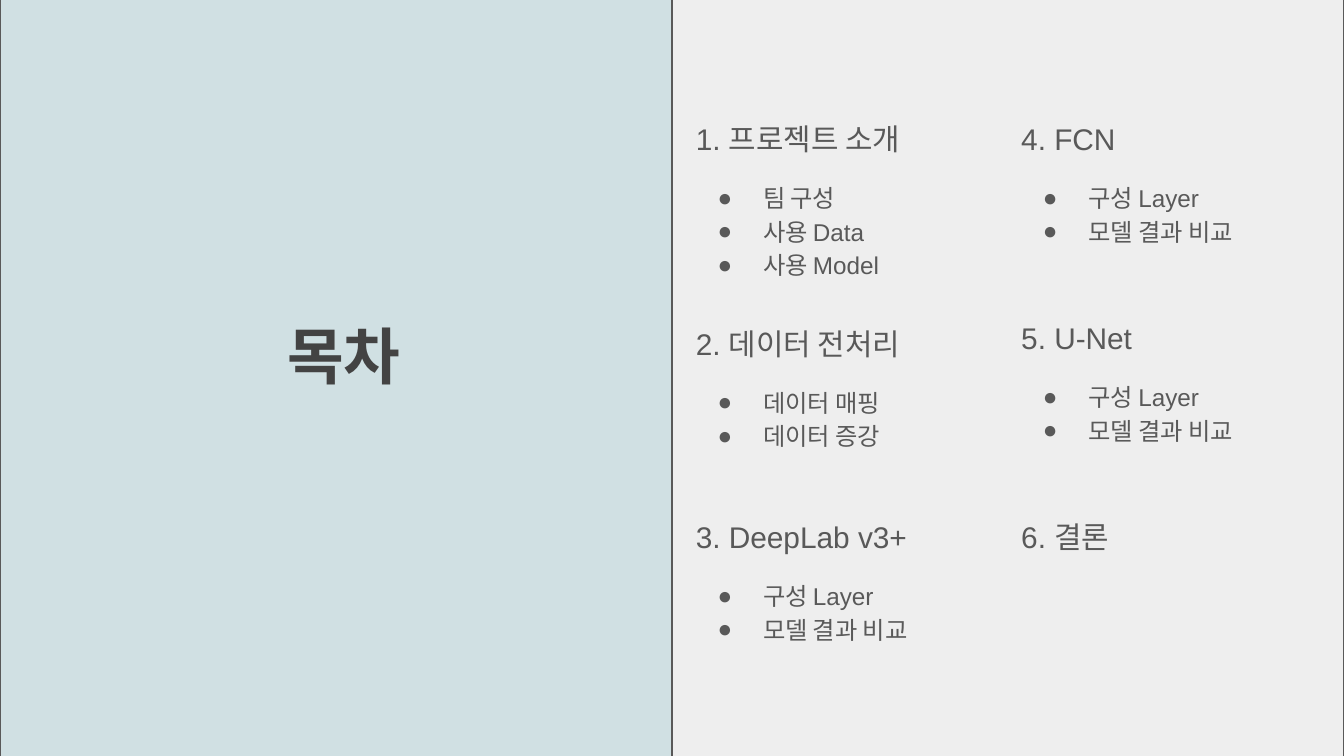
from dataclasses import dataclass

from lxml.etree import SubElement as SubEl
from pptx import Presentation
from pptx.dml.color import RGBColor
from pptx.enum.shapes import MSO_SHAPE as Preset
from pptx.enum.text import MSO_ANCHOR as Anchor, MSO_AUTO_SIZE as Fit, PP_ALIGN as Align
from pptx.oxml.ns import qn
from pptx.util import Cm, Pt

GREY = "595959"
COLS = (12.9, 19.05)
TOP, STEP = 1.7, 3.76


@dataclass
class Panel:
    left: float
    width: float
    fill: str


@dataclass
class Part:
    col: int
    row: int
    head: str
    items: tuple[str, ...] = ()
    drop: float = 0
    high: float = 3.18


MODEL = ("구성 Layer", "모델 결과 비교")
PANELS = [Panel(0, 13.39, "D0E0E3"), Panel(12.7, 12.7, "EEEEEE")]
PARTS = [
    Part(0, 0, "1. 프로젝트 소개", ("팀 구성", "사용 Data", "사용 Model"), high=3.76),
    Part(0, 1, "2. 데이터 전처리", ("데이터 매핑", "데이터 증강"), drop=0.1),
    Part(0, 2, "3. DeepLab v3+", MODEL),
    Part(1, 0, "4. FCN", MODEL),
    Part(1, 1, "5. U-Net", MODEL),
    Part(1, 2, "6. 결론"),
]


def color(code: str) -> RGBColor:
    return RGBColor.from_string(code)


def place(shape, left: float, top: float, width: float, high: float) -> None:
    shape.left, shape.top = Cm(left), Cm(top)
    shape.width, shape.height = Cm(width), Cm(high)


def set_frame(frame, anchor: Anchor) -> None:
    frame.word_wrap = True
    frame.auto_size = Fit.NONE
    frame.vertical_anchor = anchor
    frame.margin_left = frame.margin_right = Cm(0.25)
    frame.margin_top = frame.margin_bottom = Cm(0.25)


def set_font(para, name: str, size: float, code: str, bold: bool = False) -> None:
    font = para.font
    font.name, font.size, font.bold = name, Pt(size), bold
    font.color.rgb = color(code)


def set_line(para, text: str, size: float, gap: float, before: float, dot: bool) -> None:
    para.text = text
    para.alignment = Align.LEFT
    para.line_spacing = gap
    para.space_before = Pt(before)
    props = para._p.get_or_add_pPr()
    props.set("marL", str(Cm(1.27) if dot else 0))
    props.set("indent", str(Cm(-0.86) if dot else 0))
    if dot:
        tint = SubEl(props, qn("a:buClr"))
        SubEl(tint, qn("a:srgbClr"), val=GREY)
        SubEl(props, qn("a:buFont"), typeface="Arial")
        SubEl(props, qn("a:buChar"), char="●")
    else:
        SubEl(props, qn("a:buNone"))
    set_font(para, "Arial", size, GREY)


def draw_panel(slide, panel: Panel, depth: int) -> None:
    box = slide.shapes.add_shape(
        Preset.RECTANGLE, Cm(panel.left), Cm(-0.18), Cm(panel.width), Cm(14.6))
    box.shadow.inherit = False
    box.fill.solid()
    box.fill.fore_color.rgb = color(panel.fill)
    box.line.color.rgb = color(GREY)
    box.line.width = Pt(0.75)
    # Panels lie behind the placeholders
    slide.shapes._spTree.insert(2 + depth, box._element)


def draw_title(title) -> None:
    place(title, 5.18, 5.74, 3, 1.93)
    set_frame(title.text_frame, Anchor.MIDDLE)
    para = title.text_frame.paragraphs[0]
    para.text = "목차"
    para.alignment = Align.LEFT
    set_font(para, "Manrope", 33, "434343", bold=True)


def draw_part(body, part: Part) -> None:
    place(body, COLS[part.col], TOP + part.row * STEP + part.drop, 6.35, part.high)
    frame = body.text_frame
    set_frame(frame, Anchor.TOP)
    set_line(frame.paragraphs[0], part.head, 16, 1.5, 0, dot=False)
    for i, item in enumerate(part.items):
        set_line(frame.add_paragraph(), item, 13, 1.15, 0 if i else 12, dot=True)


def main() -> None:
    deck = Presentation()
    deck.slide_width, deck.slide_height = Cm(25.4), Cm(14.29)
    layout = deck.slide_layouts[1]
    slide = deck.slides.add_slide(layout)

    # Title on the left half
    draw_title(slide.shapes.title)

    # One body placeholder for each part of the contents
    for _ in PARTS[1:]:
        slide.shapes.clone_placeholder(layout.placeholders[1])
    bodies = [b for b in slide.placeholders if b.placeholder_format.idx == 1]
    for body, part in zip(bodies, PARTS):
        draw_part(body, part)

    # Background halves
    for depth, panel in enumerate(PANELS):
        draw_panel(slide, panel, depth)

    deck.save("out.pptx")


if __name__ == "__main__":
    main()
